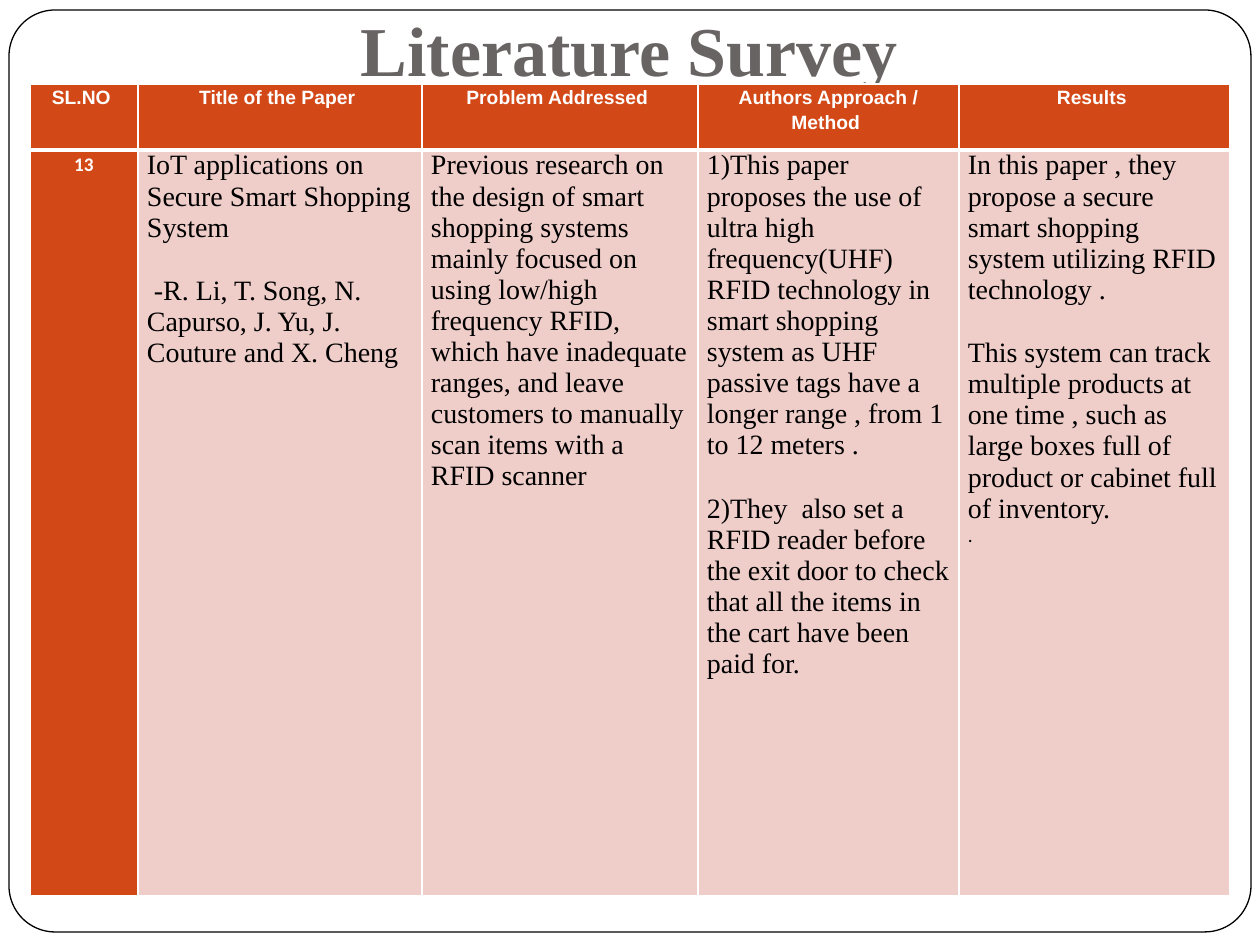
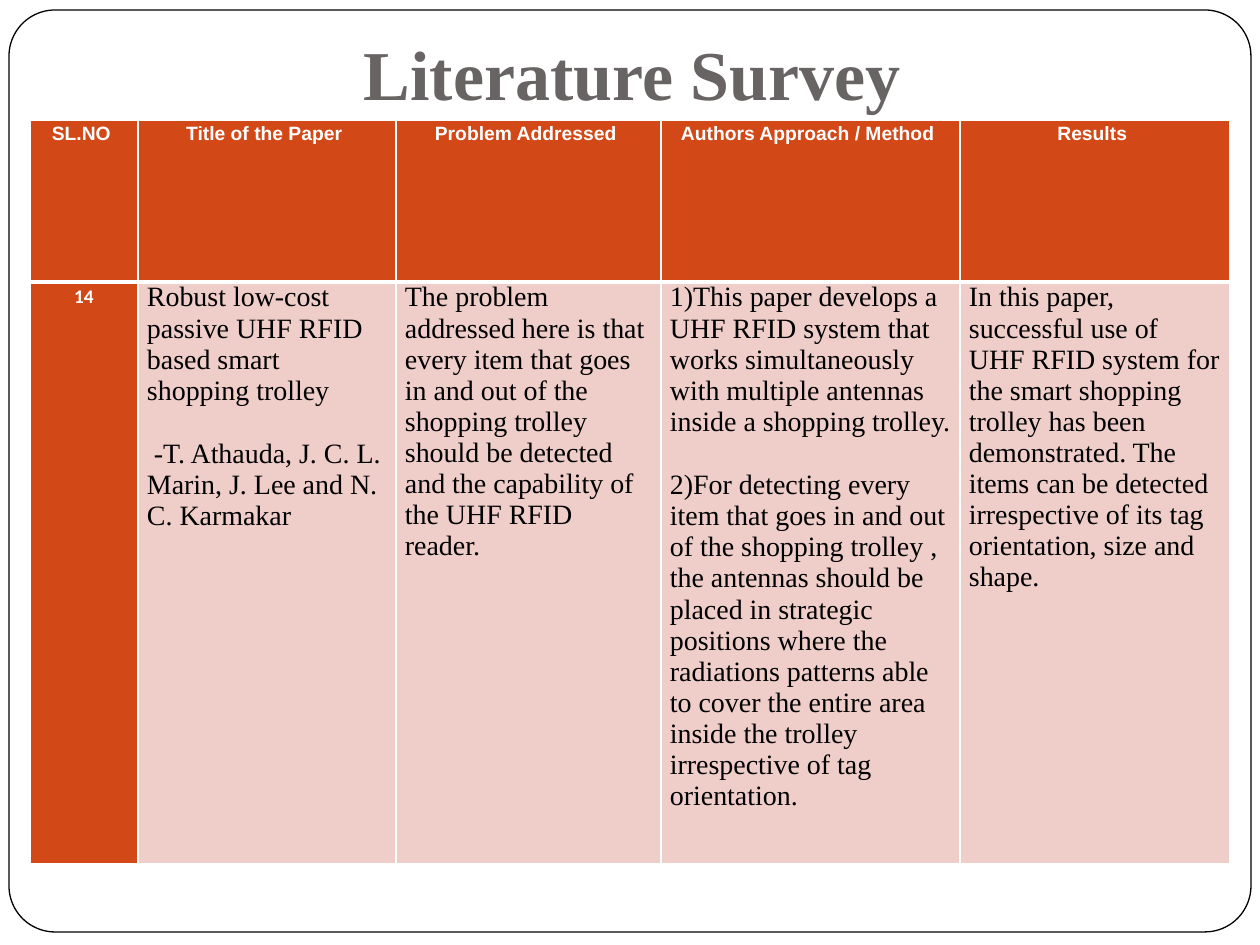
from lxml import etree
from pptx import Presentation
from pptx.dml.color import RGBColor
from pptx.enum.shapes import MSO_SHAPE
from pptx.enum.text import PP_ALIGN
from pptx.oxml.ns import qn
from pptx.util import Emu, Pt

ROUNDED = MSO_SHAPE.ROUNDED_RECTANGLE
LEFT, CENTER = PP_ALIGN.LEFT, PP_ALIGN.CENTER
WHITE = RGBColor(0xFF, 0xFF, 0xFF)
BLACK = RGBColor(0, 0, 0)
GREY = RGBColor(0x69, 0x64, 0x64)
ORANGE = RGBColor(0xD3, 0x48, 0x17)
PINK = RGBColor(0xEF, 0xCE, 0xCA)
SERIF, SANS, NUMERAL = "Times New Roman", "Arial", "Calibri"

# Content: a line break starts a paragraph, a double one adds a gap above it
TITLE = "Literature Survey"
HEADINGS = ["SL.NO ", "Title of the Paper ", "Problem Addressed ",
            "Authors Approach / Method ", "Results "]
SURVEYS = [
    {
        "title_box": (50, -14, 1009, 140),
        "table_top": 84,
        "columns": (108, 284, 276, 261, 271),
        "rows": (66, 746),
        "paper": [
            "13",
            "IoT applications on Secure Smart Shopping System\n\n"
            " -R. Li, T. Song, N. Capurso, J. Yu, J. Couture and X. Cheng",
            "Previous research on the design of smart shopping systems mainly "
            "focused on using low/high frequency RFID, which have inadequate "
            "ranges, and leave customers to manually scan items with a RFID scanner",
            "1)This paper proposes the use of\n"
            "ultra high frequency(UHF) RFID technology in smart shopping system as "
            "UHF passive tags have a longer range , from 1 to 12 meters .\n\n"
            "2)They  also set a RFID reader before the exit door to check that all "
            "the items in the cart have been paid for.",
            "In this paper , they propose a secure smart shopping system utilizing "
            "RFID technology .\n\n"
            "This system can track multiple products at one time , such as large "
            "boxes full of product or cabinet full of inventory.\n.",
        ],
    },
    {
        "title_box": (53, 10, 1133, 140),
        "table_top": 120,
        "columns": (108, 258, 265, 299, 270),
        "rows": (162, 582),
        "paper": [
            "14",
            "Robust low-cost passive UHF RFID based smart shopping trolley\n\n"
            " -T. Athauda, J. C. L. Marin, J. Lee and N. C. Karmakar",
            "The problem addressed here is that every item that goes in and out of "
            "the shopping trolley should be detected and the capability of the UHF "
            "RFID reader.",
            "1)This paper develops a UHF RFID system that works simultaneously with "
            "multiple antennas inside a shopping trolley.\n\n"
            "2)For detecting every item that goes in and out of the shopping "
            "trolley , the antennas should be placed in strategic positions where "
            "the radiations patterns able to cover the entire area inside the "
            "trolley irrespective of tag orientation.",
            "In this paper, successful use of UHF RFID system for the smart "
            "shopping trolley has been demonstrated. The items can be detected "
            "irrespective of its tag orientation, size and shape.",
        ],
    },
]

# Shared layout and formats
PX = 914400 / 126
TABLE_LEFT, CELL_INSET = 30, 9
TITLE_INSET, TITLE_TOP_INSET, TITLE_INDENT = 13, 21, 298
HEADING = dict(size=11, font=SANS, color=WHITE, bold=True, align=CENTER, spacing=1.15)
NUMBER = {**HEADING, "font": NUMERAL}
BODY = dict(size=16, font=SERIF, color=BLACK)
LONE_DOT = dict(size=11, font=NUMERAL)


def px(length):
    return Emu(round(length * PX))


def write_text(frame, text, *, size, font, color, bold=False, align=LEFT,
               spacing=None, indent=0):
    """Fill the frame; a blank line in the text becomes space above a paragraph."""
    frame.word_wrap = True
    paragraph = frame.paragraphs[0]
    for block_no, block in enumerate(text.split("\n\n")):
        for line_no, line in enumerate(block.split("\n")):
            if block_no or line_no:
                paragraph = frame.add_paragraph()
            if block_no and not line_no:
                paragraph.space_before = Pt(size * 1.15)
            paragraph.alignment = align
            if spacing:
                paragraph.line_spacing = spacing
            if indent:
                paragraph._p.get_or_add_pPr().set("marL", str(px(indent)))
            run = paragraph.add_run()
            run.text = line
            dot = LONE_DOT if line == "." else {}
            run.font.size = Pt(dot.get("size", size))
            run.font.name = dot.get("font", font)
            run.font.color.rgb = color
            run.font.bold = bold


def add_borders(cell, **widths):
    """Draw white cell borders; widths are points by side, in schema order."""
    properties = cell._tc.get_or_add_tcPr()
    for position, (side, width) in enumerate(widths.items()):
        line = etree.Element(qn(f"a:ln{side}"), w=str(Pt(width)))
        fill = etree.SubElement(line, qn("a:solidFill"))
        etree.SubElement(fill, qn("a:srgbClr"), val=str(WHITE))
        properties.insert(position, line)


def add_frame(slide):
    frame = slide.shapes.add_shape(ROUNDED, px(9), px(10), px(1242), px(922))
    frame.adjustments[0] = 0.05
    frame.shadow.inherit = False
    frame.fill.solid()
    frame.fill.fore_color.rgb = WHITE
    frame.line.color.rgb = BLACK
    frame.line.width = Pt(0.75)


def add_title(slide, box):
    frame = slide.shapes.add_textbox(*map(px, box)).text_frame
    frame.margin_left = frame.margin_right = px(TITLE_INSET)
    frame.margin_top = px(TITLE_TOP_INSET)
    write_text(frame, TITLE, size=40, font=SERIF, color=GREY, bold=True,
               indent=TITLE_INDENT)


def add_survey_table(slide, survey):
    columns, rows = survey["columns"], survey["rows"]
    table = slide.shapes.add_table(
        len(rows), len(columns), px(TABLE_LEFT), px(survey["table_top"]),
        px(sum(columns)), px(sum(rows))).table
    for column, width in zip(table.columns, columns):
        column.width = px(width)
    for row, height in zip(table.rows, rows):
        row.height = px(height)
    for r, texts in enumerate((HEADINGS, survey["paper"])):
        for c, text in enumerate(texts):
            cell = table.cell(r, c)
            cell.margin_left = cell.margin_right = px(CELL_INSET)
            cell.margin_top = cell.margin_bottom = 0
            cell.fill.solid()
            cell.fill.fore_color.rgb = PINK if r and c else ORANGE
            # The heavy rule lies between the heading row and the paper
            add_borders(cell, L=1, R=1, T=3 if r else 1, B=1 if r else 3)
            style = HEADING if r == 0 else NUMBER if c == 0 else BODY
            write_text(cell.text_frame, text, **style)


def main():
    deck = Presentation()
    deck.slide_width, deck.slide_height = px(1260), px(945)
    for survey in SURVEYS:
        slide = deck.slides.add_slide(deck.slide_layouts[6])
        add_frame(slide)
        add_title(slide, survey["title_box"])
        add_survey_table(slide, survey)
    deck.save("out.pptx")


if __name__ == "__main__":
    main()
